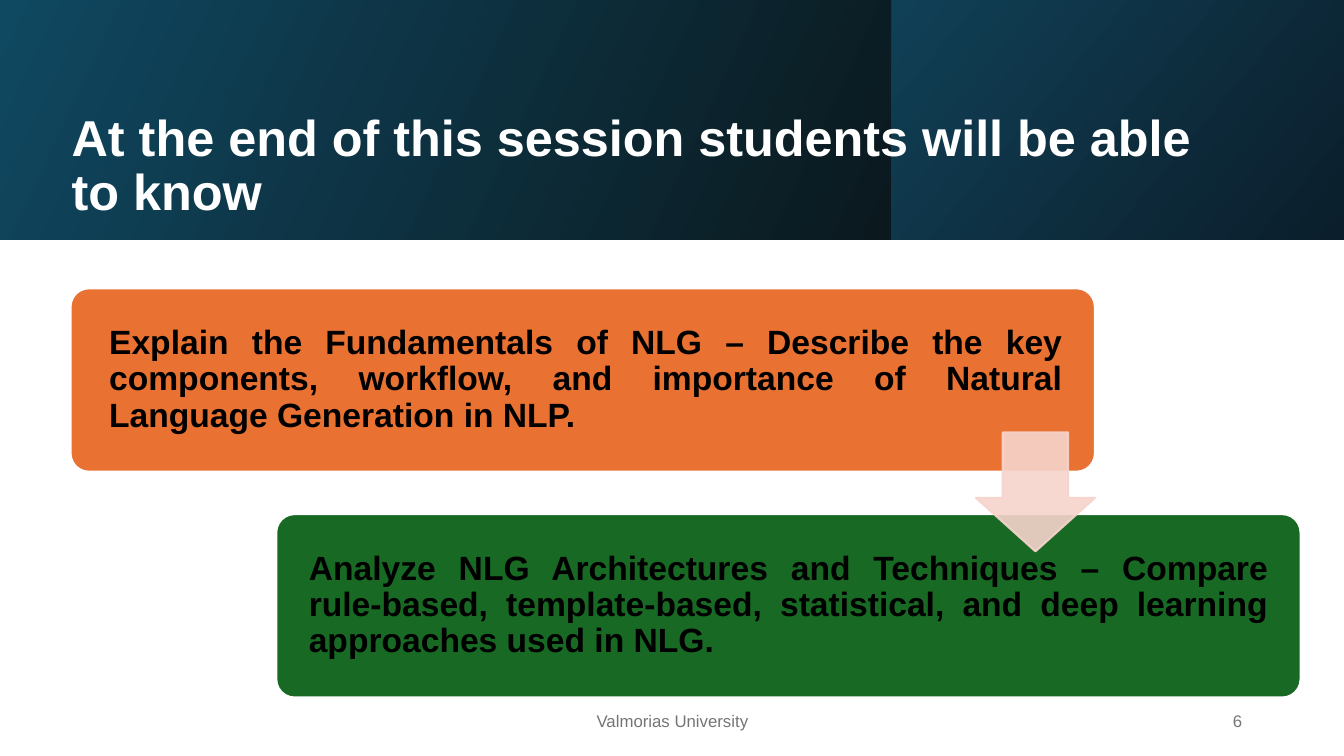
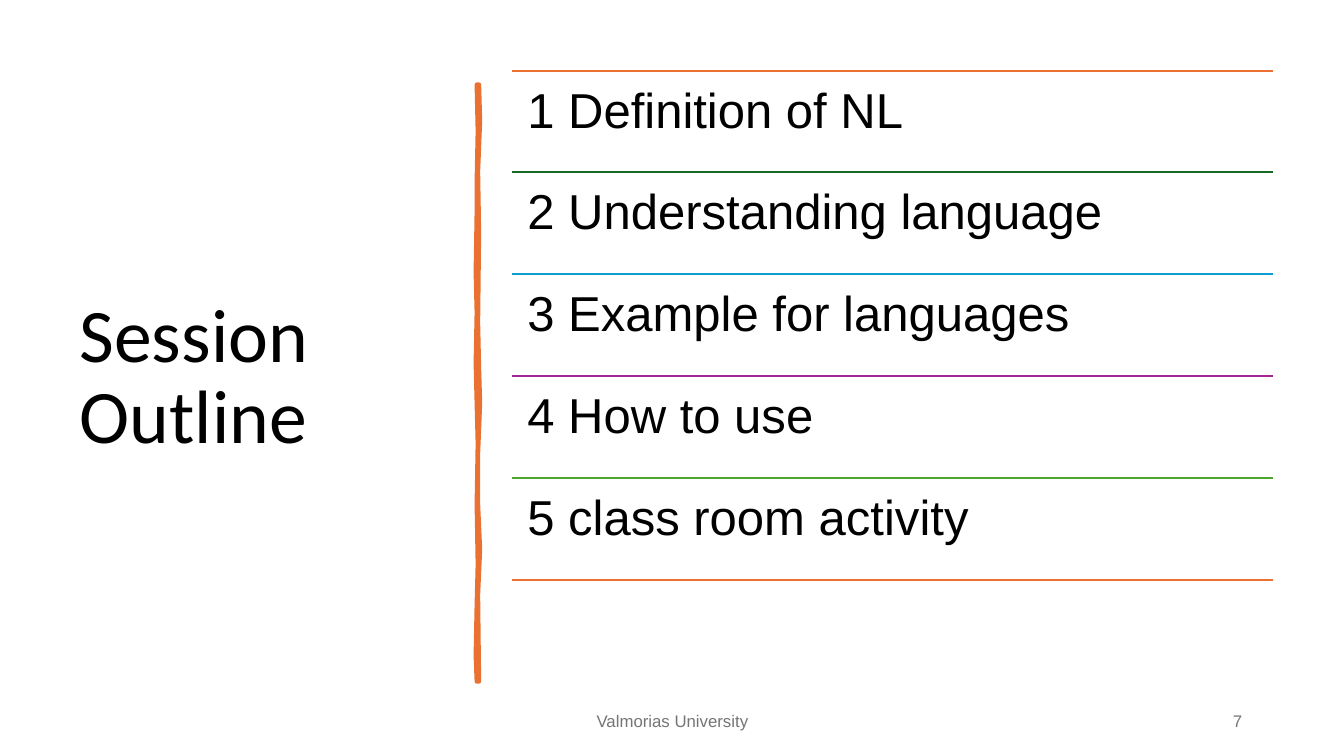
from lxml import etree
from pptx import Presentation
from pptx.dml.color import RGBColor
from pptx.enum.shapes import MSO_CONNECTOR, MSO_SHAPE
from pptx.enum.text import MSO_ANCHOR, MSO_AUTO_SIZE, PP_ALIGN
from pptx.oxml.ns import qn
from pptx.util import Inches, Pt

LEFT, CENTER, RIGHT, JUSTIFY = PP_ALIGN.LEFT, PP_ALIGN.CENTER, PP_ALIGN.RIGHT, PP_ALIGN.JUSTIFY
TOP, MIDDLE = MSO_ANCHOR.TOP, MSO_ANCHOR.MIDDLE
STRAIGHT = MSO_CONNECTOR.STRAIGHT
RECTANGLE, ROUNDED, DOWN_ARROW = MSO_SHAPE.RECTANGLE, MSO_SHAPE.ROUNDED_RECTANGLE, MSO_SHAPE.DOWN_ARROW

WHITE = RGBColor(0xFF, 0xFF, 0xFF)
BLACK = RGBColor(0x00, 0x00, 0x00)
GRAY = RGBColor(0x75, 0x75, 0x75)
ORANGE = RGBColor(0xE9, 0x71, 0x31)
GREEN = RGBColor(0x18, 0x69, 0x23)
BLUE = RGBColor(0x0C, 0x9E, 0xD5)
PURPLE = RGBColor(0xA0, 0x28, 0x91)
LIME = RGBColor(0x4E, 0xA6, 0x2C)
PINK = RGBColor(0xF6, 0xD4, 0xCC)
TEAL = RGBColor(0x0F, 0x48, 0x61)
NIGHT = RGBColor(0x0B, 0x19, 0x1E)
SEA = RGBColor(0x10, 0x40, 0x56)
NAVY = RGBColor(0x0B, 0x1E, 0x2B)


def write(shape, text, size, color, align=LEFT, anchor=MIDDLE, font="Arial",
          bold=False, spacing=0.9, insets=(0.1, 0.05, 0.1, 0.05)):
    frame = shape.text_frame
    frame.word_wrap = True
    frame.auto_size = MSO_AUTO_SIZE.NONE
    frame.vertical_anchor = anchor
    frame.margin_left, frame.margin_top, frame.margin_right, frame.margin_bottom = map(Inches, insets)
    para = frame.paragraphs[0]
    para.text = text
    para.alignment = align
    para.line_spacing = spacing
    para.font.name = font
    para.font.size = Pt(size)
    para.font.bold = bold
    para.font.color.rgb = color


def add_page(number, title, place, size, color, **style):
    page = deck.slides.add_slide(deck.slide_layouts[5])
    heading = page.shapes.title
    heading.left, heading.top, heading.width, heading.height = map(Inches, place)
    write(heading, title, size, color, **style)
    for text, left, width, align in (("Valmorias University", 4.42, 4.5, CENTER),
                                     (str(number), 9.42, 3, RIGHT)):
        box = page.shapes.add_textbox(Inches(left), Inches(6.95), Inches(width), Inches(0.4))
        write(box, text, 12, GRAY, align, spacing=1.0)
    return page


deck = Presentation()
deck.slide_width = Inches(13.33)
deck.slide_height = Inches(7.5)

page = add_page(6, "At the end of this session students will be able to know",
                (0.61, 1.21, 11.53, 0.9), 36, WHITE, bold=True)

bands = ((0, 8.84, TEAL, NIGHT, 335), (8.84, 4.49, SEA, NAVY, 320))
for index, (left, width, start, end, angle) in enumerate(bands):
    band = page.shapes.add_shape(RECTANGLE, Inches(left), 0, Inches(width), Inches(2.38))
    band.shadow.inherit = False
    band.line.fill.background()
    band.fill.gradient()
    band.fill.gradient_angle = angle
    for stop, color in zip(band.fill.gradient_stops, (start, end)):
        stop.color.rgb = color
    page.shapes._spTree.insert(2 + index, band._element)

cards = (
    (0.7, 2.86, 0.33, ORANGE, "Explain the Fundamentals of NLG – Describe the key components, "
     "workflow, and importance of Natural Language Generation in NLP."),
    (2.74, 5.1, 0.27, GREEN, "Analyze NLG Architectures and Techniques – Compare rule-based, "
     "template-based, statistical, and deep learning approaches used in NLG."),
)
for left, top, inset, color, text in cards:
    card = page.shapes.add_shape(ROUNDED, Inches(left), Inches(top), Inches(10.16), Inches(1.82))
    card.adjustments[0] = 0.1
    card.shadow.inherit = False
    card.fill.solid()
    card.fill.fore_color.rgb = color
    card.line.color.rgb = WHITE
    card.line.width = Pt(1.5)
    write(card, text, 24, BLACK, JUSTIFY, bold=True, insets=(inset, 0.27, 0.27, 0.27))

arrow = page.shapes.add_shape(DOWN_ARROW, Inches(9.68), Inches(4.29), Inches(1.18), Inches(1.18))
arrow.adjustments[0] = 0.55
arrow.adjustments[1] = 0.45
arrow.shadow.inherit = False
arrow.fill.solid()
arrow.fill.fore_color.rgb = PINK
arrow.line.color.rgb = PINK
arrow.line.width = Pt(1.5)
for tint in arrow._element.spPr.iter(qn("a:srgbClr")):
    etree.SubElement(tint, qn("a:alpha")).set("val", "90000")

page = add_page(7, "Session Outline", (0.69, 0.7, 3.74, 6.11), 54, BLACK, font="Calibri")

right_edge = ((4.75, 0.84), (4.76, 1.2), (4.74, 1.7), (4.75, 2.3), (4.74, 3.2), (4.75, 3.65),
              (4.76, 4.0), (4.74, 4.5), (4.74, 5.0), (4.76, 5.45), (4.74, 5.9), (4.75, 6.76))
left_edge = ((4.73, 6.76), (4.72, 6.5), (4.73, 6.0), (4.74, 5.6), (4.73, 5.0), (4.74, 4.4),
             (4.73, 4.0), (4.72, 3.6), (4.73, 3.1), (4.72, 2.7), (4.73, 2.1), (4.73, 1.8),
             (4.74, 1.3), (4.73, 0.84))
points = [(Inches(x), Inches(y)) for x, y in right_edge + left_edge]
builder = page.shapes.build_freeform(*points[0])
builder.add_line_segments(points[1:])
divider = builder.convert_to_shape()
divider.shadow.inherit = False
divider.fill.solid()
divider.fill.fore_color.rgb = ORANGE
divider.line.color.rgb = ORANGE
divider.line.width = Pt(3.25)

topics = ("1 Definition of NL", "2 Understanding language", "3 Example for languages",
          "4 How to use", "5 class room activity")
rule_colors = (ORANGE, GREEN, BLUE, PURPLE, LIME, ORANGE)
row_left, row_top, row_width, row_height = 5.08, 0.7, 7.55, 1.01
for index, color in enumerate(rule_colors):
    y = Inches(row_top + index * row_height)
    rule = page.shapes.add_connector(STRAIGHT, Inches(row_left), y, Inches(row_left + row_width), y)
    rule.line.color.rgb = color
    rule.line.width = Pt(1.5)
    etree.SubElement(rule._element.spPr, qn("a:effectLst"))
for index, topic in enumerate(topics):
    box = page.shapes.add_textbox(Inches(row_left), Inches(row_top + index * row_height),
                                  Inches(row_width), Inches(row_height))
    write(box, topic, 35, BLACK, anchor=TOP, insets=(0.15,) * 4)

deck.save("out.pptx")
